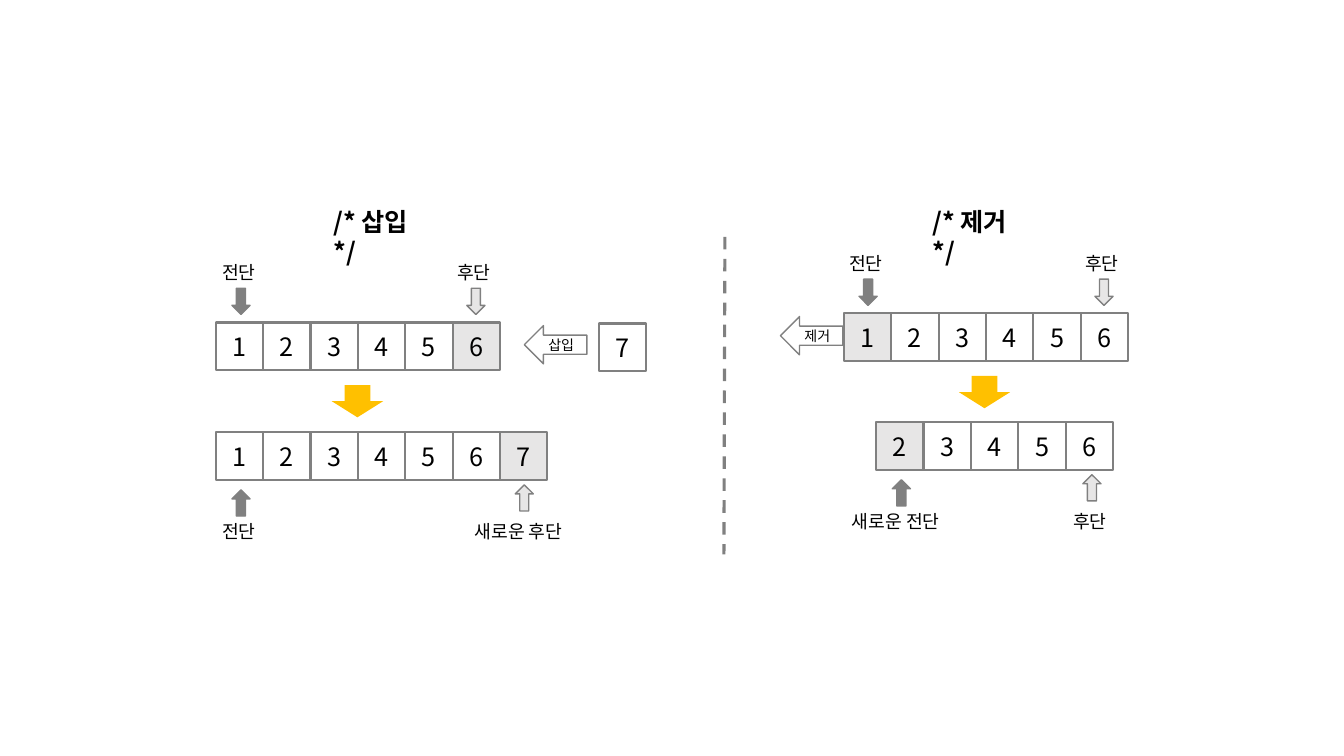
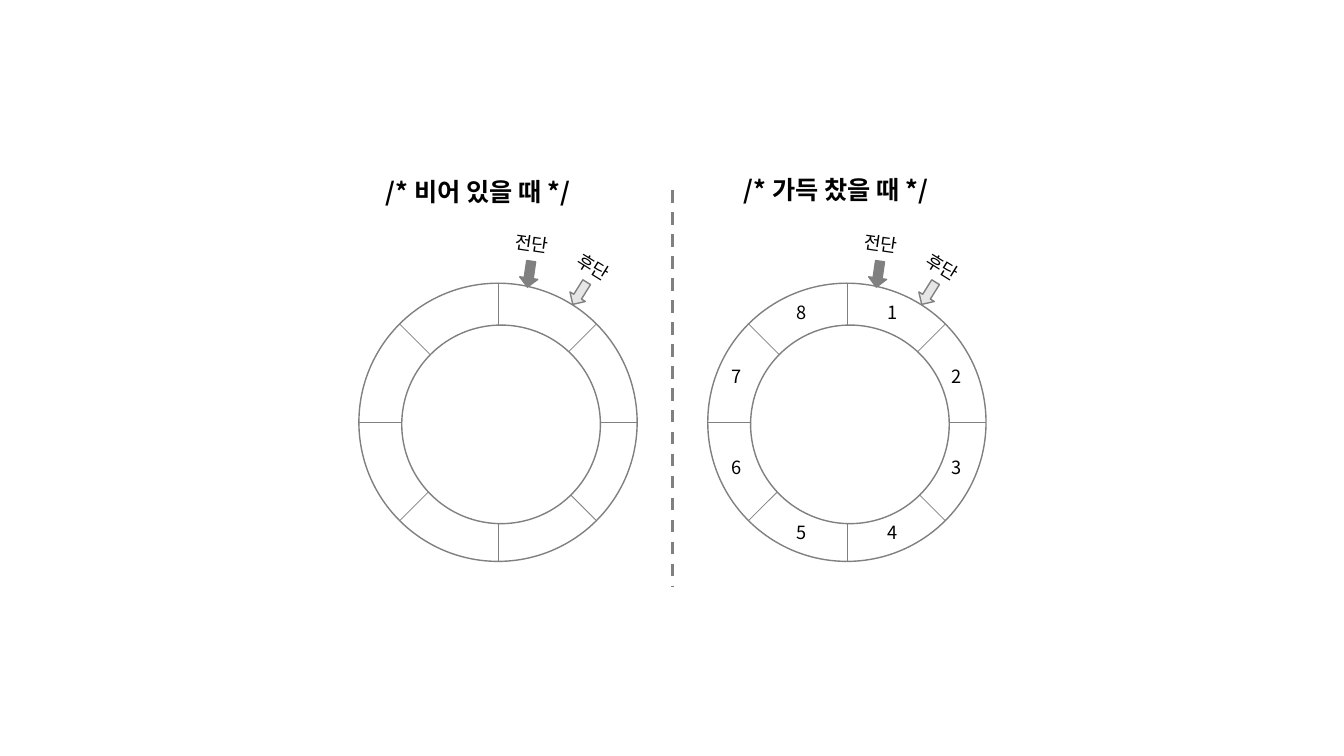
from math import cos, radians, sin

from lxml import etree
from pptx import Presentation
from pptx.dml.color import RGBColor
from pptx.enum import dml, shapes, text
from pptx.oxml.ns import qn
from pptx.util import Inches, Pt

FONT = "Noto Sans CJK KR"
BLACK = RGBColor(0x00, 0x00, 0x00)
WHITE = RGBColor(0xFF, 0xFF, 0xFF)
GRAY = RGBColor(0x80, 0x80, 0x80)
PALE = RGBColor(0xE7, 0xE6, 0xE6)
GOLD = RGBColor(0xFF, 0xC0, 0x00)
KIND = shapes.MSO_SHAPE
FRONT, REAR = "전단", "후단"


def put(slide, box, words="", size=13, kind=None, fill=WHITE, edge=1,
        turn=0, bold=False, wrap=False):
    """Add a preset shape, or a text box if no kind is given."""
    place = [Inches(v) for v in box]
    if kind is None:
        item = slide.shapes.add_textbox(*place)
    else:
        item = slide.shapes.add_shape(kind, *place)
        item.shadow.inherit = False
        item.fill.solid()
        item.fill.fore_color.rgb = fill
        if edge:
            item.line.color.rgb = GRAY
            item.line.width = Pt(edge)
        else:
            item.line.fill.background()
    item.rotation = turn
    if words:
        frame = item.text_frame
        frame.text = words
        if kind is None:
            frame.word_wrap = wrap
            frame.auto_size = text.MSO_AUTO_SIZE.SHAPE_TO_FIT_TEXT
        else:
            frame.vertical_anchor = text.MSO_ANCHOR.MIDDLE
            frame.paragraphs[0].alignment = text.PP_ALIGN.CENTER
        font = frame.paragraphs[0].runs[0].font
        font.size, font.bold, font.name = Pt(size), bold, FONT
        font.color.rgb = BLACK
        asian = etree.SubElement(frame.paragraphs[0].runs[0]._r.rPr, qn("a:ea"))
        asian.set("typeface", FONT)


def rule(slide, ends, width, dash=False):
    line = slide.shapes.add_connector(
        shapes.MSO_CONNECTOR.STRAIGHT, *[Inches(v) for v in ends])
    line.line.color.rgb = GRAY
    line.line.width = Pt(width)
    if dash:
        line.line.dash_style = dml.MSO_LINE.DASH
    etree.SubElement(line._element.spPr, qn("a:effectLst"))


deck = Presentation()
deck.slide_width, deck.slide_height = Inches(13.33), Inches(7.5)
blank = deck.slide_layouts[6]

# Slide 1: insertion and removal in a linear queue
queue = deck.slides.add_slide(blank)
SIDE = 0.47
rows = [  # left, top, digits, shaded digit
    (2.14, 3.2, "123456", "6"),
    (5.94, 3.21, "7", ""),
    (2.14, 4.29, "1234567", "7"),
    (8.37, 3.11, "123456", "1"),
    (8.69, 4.19, "23456", "2"),
]
for left, top, digits, shaded in rows:
    for i, digit in enumerate(digits):
        put(queue, (left + i * SIDE, top, SIDE, SIDE), digit, 18,
            KIND.RECTANGLE, PALE if digit == shaded else WHITE, 1.5)

marks = [  # words, arrow centre, top of the row, below the row, front end
    (FRONT, 2.39, 3.2, False, True),
    (REAR, 4.72, 3.2, False, False),
    (FRONT, 2.39, 4.29, True, True),
    ("새로운 후단", 5.2, 4.29, True, False),
    (FRONT, 8.61, 3.11, False, True),
    (REAR, 10.95, 3.11, False, False),
    ("새로운 전단", 8.94, 4.19, True, True),
    (REAR, 10.83, 4.19, True, False),
]
for words, mid, top, below, front in marks:
    wide = 0.57 if len(words) == 2 else 1.18
    if below:
        kind, drop, gap = KIND.UP_ARROW, 0.57 if front else 0.52, 0.82
    else:
        kind, drop, gap = KIND.DOWN_ARROW, -0.34, -0.66
    put(queue, (mid - 0.09, top + drop, 0.18, 0.26), kind=kind,
        fill=GRAY if front else PALE)
    put(queue, (mid - wide / 2, top + gap, wide, 0.32), words)

panels = [  # action, heading left, side arrow left, side arrow top, step left
    ("삽입", 3.21, 5.2, 3.23, 3.29),
    ("제거", 9.15, 7.74, 3.14, 9.51),
]
for act, head, left, top, step in panels:
    put(queue, (head, 2, 1.1, 0.4), f"/* {act} */", 18, bold=True, wrap=True)
    put(queue, (left, top, 0.62, 0.38), kind=KIND.LEFT_ARROW)
    put(queue, (left + 0.14, top + 0.06, 0.48, 0.27), act, 10)
    put(queue, (step, top + 0.59, 0.51, 0.32), kind=KIND.DOWN_ARROW,
        fill=GOLD, edge=0)
rule(queue, (7.19, 2.35, 7.18, 5.5), 2.25, dash=True)

# Slide 2: empty and full circular queue
ring = deck.slides.add_slide(blank)
OUTER, INNER, TRACK = 1.38, 0.985, 1.18
MID = 4.19
rings = [  # heading, its left and top, ring centre, digits
    ("/* 비어 있을 때 */", 3.73, 1.7, 4.94, ""),
    ("/* 가득 찼을 때 */", 7.28, 1.68, 8.4, "12345678"),
]
for words, left, top, hub, digits in rings:
    put(ring, (hub - OUTER, MID - OUTER, 2 * OUTER, 2 * OUTER), kind=KIND.OVAL)
    for turn in range(0, 180, 45):
        dx, dy = OUTER * cos(radians(turn)), OUTER * sin(radians(turn))
        rule(ring, (hub - dx, MID - dy, hub + dx, MID + dy), 0.5)
    put(ring, (hub - INNER + 0.03, MID - INNER + 0.02, 2 * INNER, 2 * INNER),
        kind=KIND.OVAL)
    for name, fill, turn, ax, ay, tx, ty in [
        (REAR, PALE, 32, 0.72, 2.78, 0.68, 2.5),
        (FRONT, GRAY, 8.3, 0.22, 2.59, 0.07, 2.26),
    ]:
        put(ring, (hub + ax, ay, 0.18, 0.26), kind=KIND.DOWN_ARROW,
            fill=fill, turn=turn)
        put(ring, (hub + tx, ty, 0.57, 0.32), name, turn=turn)
    for i, digit in enumerate(digits):
        turn = radians(45 * i - 67.5)
        put(ring, (hub + TRACK * cos(turn) - 0.15,
                   MID + TRACK * sin(turn) - 0.16, 0.3, 0.32), digit)
    put(ring, (left, top, 2.27, 0.4), words, 18, bold=True)
rule(ring, (6.67, 1.89, 6.67, 5.82), 2.25, dash=True)

deck.save("out.pptx")
